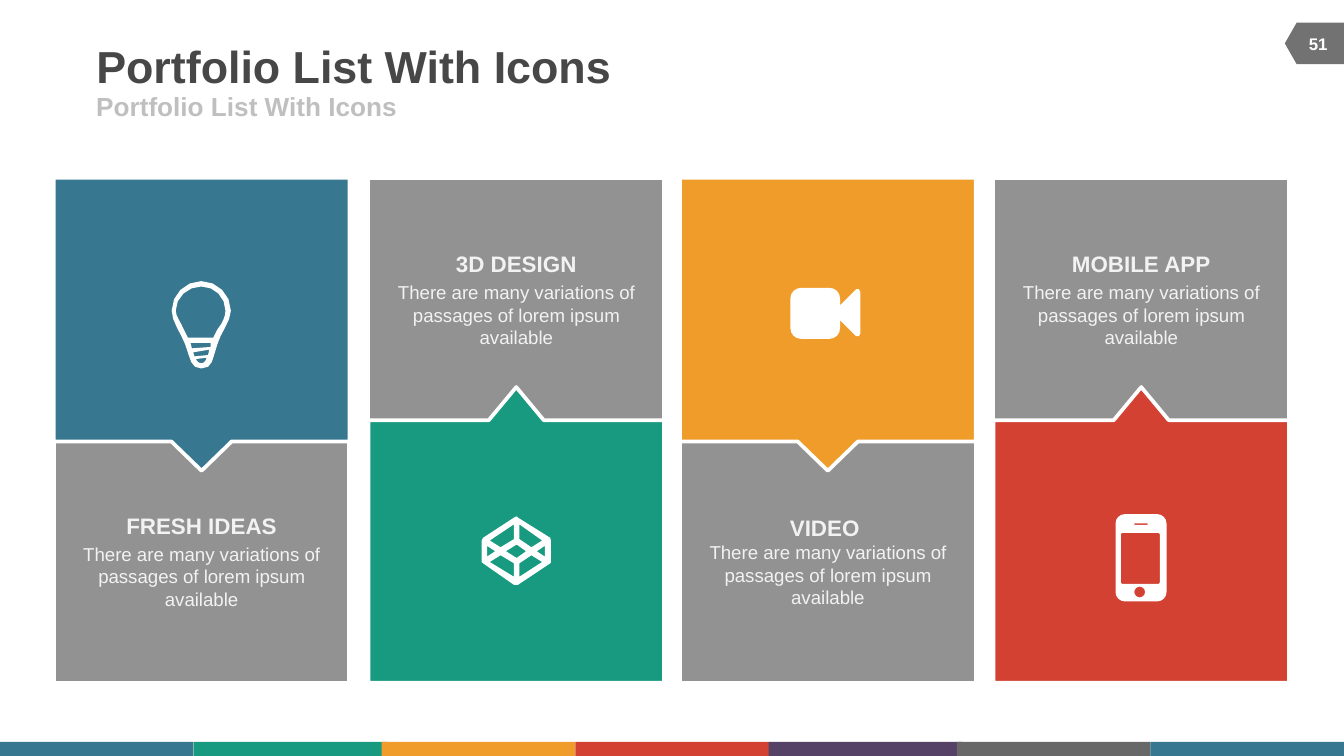
import pptx
import pptx.dml.color
import pptx.enum.shapes
import pptx.enum.text
import pptx.util
from dataclasses import dataclass

Pt = pptx.util.Pt
SHAPE = pptx.enum.shapes.MSO_SHAPE
ALIGN = pptx.enum.text.PP_ALIGN
MIDDLE = pptx.enum.text.MSO_ANCHOR.MIDDLE


@dataclass(frozen=True)
class Theme:
    font: str = "Arial"
    blue: str = "377790"
    green: str = "189A80"
    orange: str = "F09C2A"
    red: str = "D24132"
    purple: str = "564266"
    slate: str = "686868"
    badge: str = "727272"
    panel: str = "929292"
    white: str = "FFFFFF"
    title: str = "474747"
    subtitle: str = "BFBFBF"
    body: str = "F2F2F2"
    title_size: int = 24
    subtitle_size: int = 14
    heading_size: int = 12
    body_size: int = 10
    badge_size: int = 9


T = Theme()
ICON_SCALE = 0.72
UNITS_PER_PT = 100
BODY = "There are many variations of passages of lorem ipsum available"


def rgb(value):
    return pptx.dml.color.RGBColor.from_string(value)


def paint(sp, fill, line=None):
    sp.shadow.inherit = False
    sp.fill.solid()
    sp.fill.fore_color.rgb = rgb(fill)
    if line:
        sp.line.color.rgb = rgb(line)
        sp.line.width = Pt(2)
    else:
        sp.line.fill.background()


def add_block(s, kind, box, fill, line=None):
    sp = s.shapes.add_shape(kind, *map(Pt, box))
    paint(sp, fill, line)
    return sp


def write(p, text, size, color, bold=True, align=ALIGN.LEFT):
    p.text = text
    p.alignment = align
    p.font.name = T.font
    p.font.size = Pt(size)
    p.font.bold = bold
    p.font.color.rgb = rgb(color)


def write_label(sp, text, size, color, align=ALIGN.LEFT):
    tf = sp.text_frame
    tf.word_wrap = True
    tf.auto_size = pptx.enum.text.MSO_AUTO_SIZE.NONE
    tf.vertical_anchor = MIDDLE
    tf.margin_left = tf.margin_right = tf.margin_top = tf.margin_bottom = 0
    write(tf.paragraphs[0], text, size, color, align=align)


def rounded(x, y, w, h, r):
    k = 0.45 * r
    a, b = x + w, y + h
    return [(x + r, y), (a - r, y), (a - k, y, a, y + k, a, y + r),
            (a, b - r), (a, b - k, a - k, b, a - r, b),
            (x + r, b), (x + k, b, x, b - k, x, b - r),
            (x, y + r), (x, y + k, x + k, y, x + r, y)]


def flatten(contour, steps=4):
    points = []
    for seg in contour:
        if len(seg) == 2:
            points.append(seg)
            continue
        x0, y0 = points[-1]
        x1, y1, x2, y2, x3, y3 = seg
        for i in range(1, steps + 1):
            t = i / steps
            u = 1 - t
            a, b, c, d = u**3, 3 * u * u * t, 3 * u * t * t, t**3
            points.append((a * x0 + b * x1 + c * x2 + d * x3,
                           a * y0 + b * y1 + c * y2 + d * y3))
    return points


BULB = [
    [(22, 0), (10, 0, 0, 10, 0, 22), (0, 30, 7, 39, 10, 47), (14, 58, 14, 65, 22, 65),
     (31, 65, 30, 58, 34, 47), (36, 39, 44, 30, 44, 22), (44, 10, 34, 0, 22, 0)],
    [(31, 42), (12, 42), (9, 36), (7, 31, 3, 26, 3, 22),
     (3, 12, 12, 4, 22, 4), (32, 4, 40, 12, 40, 22), (40, 26, 38, 31, 34, 36)],
    [(27, 55), (17, 56), (16, 53), (28, 51)],
    [(15, 50), (14, 46), (29, 46), (29, 49)],
    [(22, 61), (20, 61, 19, 60, 18, 58), (26, 57), (25, 60, 24, 61, 22, 61)],
]
CUBE = [
    [(51.5, 34), (51, 35), (27, 51), (24, 51), (1, 35), (0, 34), (0, 18), (1, 16),
     (24, 1), (26, 0), (27, 1), (51, 16), (51.5, 18)],
    [(10, 26), (4, 22), (4, 30)],
    [(24, 17), (24, 6), (6, 18), (14, 23)],
    [(24, 45), (24, 35), (14, 29), (6, 34)],
    [(33, 26), (26, 21), (18, 26), (26, 31)],
    [(45, 18), (28, 6), (28, 17), (37, 23)],
    [(45, 34), (37, 29), (28, 35), (28, 45)],
    [(47, 30), (47, 22), (41, 26)],
]
CAMERA = [
    rounded(0, 0, 37, 38, 8),
    [(37, 13), (49, 1), (51, 1), (52, 3), (52, 34), (51, 36), (49, 36), (37, 24)],
]
PHONE = [rounded(0, 0, 38, 65, 7), rounded(4, 14, 29, 38, 1.5),
         [(14, 7), (24, 7), (24, 8), (14, 8)], rounded(14, 54, 8, 8, 4)]


def add_icon(s, contours, left, top):
    outlines = [[((left + x * ICON_SCALE) * UNITS_PER_PT,
                  (top + y * ICON_SCALE) * UNITS_PER_PT)
                 for x, y in flatten(c)] for c in contours]
    fb = s.shapes.build_freeform(*outlines[0][0], scale=Pt(1) / UNITS_PER_PT)
    for i, outline in enumerate(outlines):
        if i:
            fb.move_to(*outline[0])
        fb.add_line_segments(outline[1:], close=True)
    paint(fb.convert_to_shape(), T.white)


def write_panel(tf, heading, inline):
    tf.word_wrap = True
    tf.vertical_anchor = MIDDLE
    p = tf.paragraphs[0]
    write(p, heading, T.heading_size, T.body, align=ALIGN.CENTER)
    if inline:
        p.add_line_break()
        r = p.add_run()
        r.text = BODY
        r.font.size = Pt(T.body_size)
        r.font.bold = False
    else:
        p = tf.add_paragraph()
        write(p, BODY, T.body_size, T.body, False, ALIGN.CENTER)
        p.space_before = Pt(2)


def add_card(s, box, heading, color, icon, icon_at, points_down, inline=False):
    x, y, w, h = box
    panel_h = 130.3
    panel_y = y + h - panel_h if points_down else y
    sp = add_block(s, SHAPE.RECTANGLE, (x, panel_y, w, panel_h), T.panel, T.white)
    write_panel(sp.text_frame, heading, inline)

    if points_down:
        kind, call_h, adj = SHAPE.DOWN_ARROW_CALLOUT, 157, (0.236, 0.103, 0.1, 0.9)
        call_y = y
    else:
        kind, call_h, adj = SHAPE.UP_ARROW_CALLOUT, 158.4, (0.25, 0.093, 0.112, 0.888)
        call_y = y + h - call_h
    sp = add_block(s, kind, (x, call_y, w, call_h), color, T.white)
    for i, value in enumerate(adj):
        sp.adjustments[i] = value
    add_icon(s, icon, x + icon_at[0], y + icon_at[1])


def add_header(s, box):
    x, y, w, h = box
    sp = s.shapes.title
    sp.left, sp.top, sp.width, sp.height = map(Pt, (x, y, w, 28))
    write_label(sp, "Portfolio List With Icons", T.title_size, T.title)
    sp = s.shapes.add_textbox(*map(Pt, (x, y + 28, 324, h - 28)))
    write_label(sp, "Portfolio List With Icons", T.subtitle_size, T.subtitle)


def add_badge(s, box):
    x, y, w, h = box
    shift = (w - h) / 2
    sp = add_block(s, SHAPE.FLOWCHART_OFFPAGE_CONNECTOR,
                   (x + shift, y - shift, h, w), T.badge)
    sp.rotation = 90
    sp = s.shapes.add_textbox(*map(Pt, (x + 3, y, w - 2, h)))
    write_label(sp, "51", T.badge_size, T.white, ALIGN.CENTER)


def add_color_bar(s, box):
    x, y, w, h = box
    colors = (T.blue, T.green, T.orange, T.red, T.purple, T.slate, T.blue)
    lefts = (0, 103.7, 204.5, 308.2, 411.8, 512.6, 616.3)
    for left, color in zip(lefts, colors):
        add_block(s, SHAPE.RECTANGLE, (x + left, y, w - lefts[-1], h), color)


def main():
    prs = pptx.Presentation()
    prs.slide_width, prs.slide_height = Pt(720), Pt(405)
    s = prs.slides.add_slide(prs.slide_layouts[5])
    add_color_bar(s, (0, 397.5, 720, 7.5))
    add_badge(s, (688.3, 12.1, 31.7, 22.3))
    add_header(s, (51.6, 21, 444, 44))
    cards = (
        (28.8, "FRESH IDEAS", T.blue, BULB, (63.2, 55.4), True),
        (197.4, "3D DESIGN", T.green, CUBE, (60.7, 181.4), False),
        (364.3, "VIDEO ", T.orange, CAMERA, (59.1, 59), True, True),
        (532.2, "MOBILE APP", T.red, PHONE, (65.4, 180.2), False),
    )
    for left, *card in cards:
        add_card(s, (left, 95.2, 158.4, 270.6), *card)
    prs.save("out.pptx")


if __name__ == "__main__":
    main()
